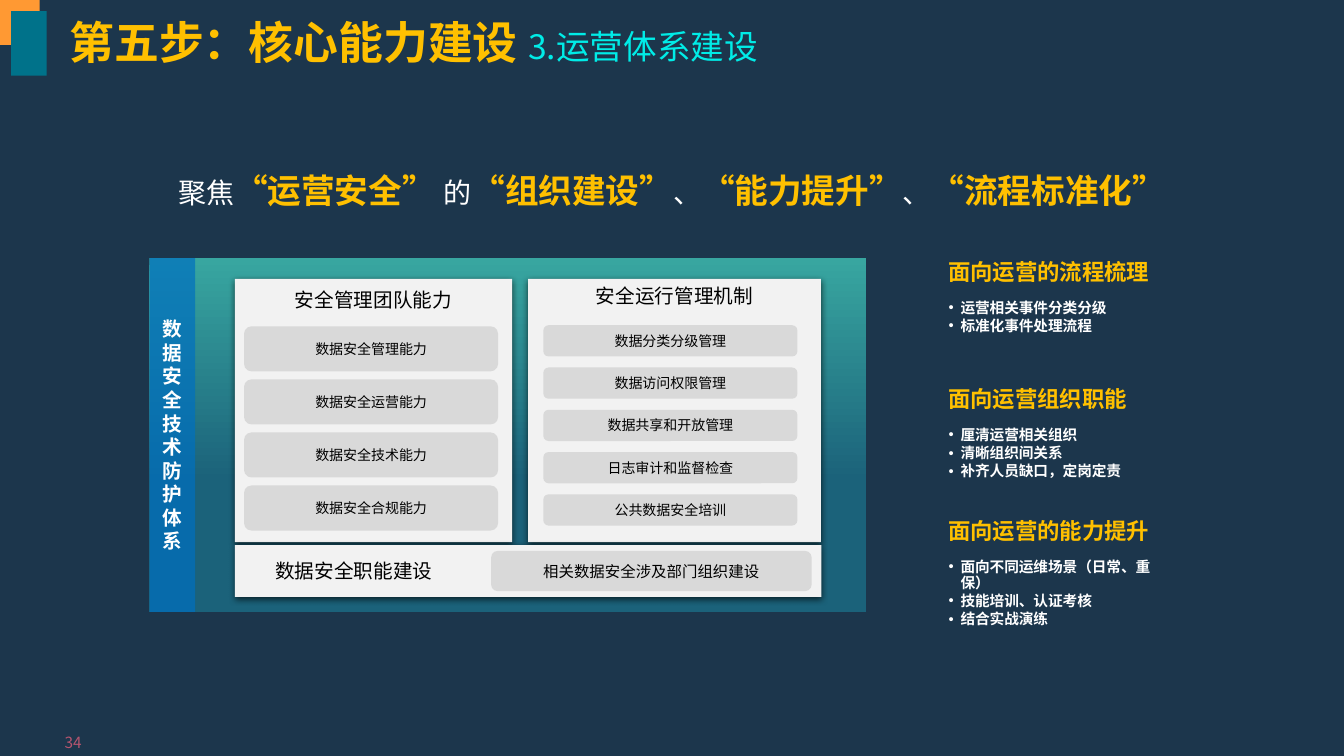
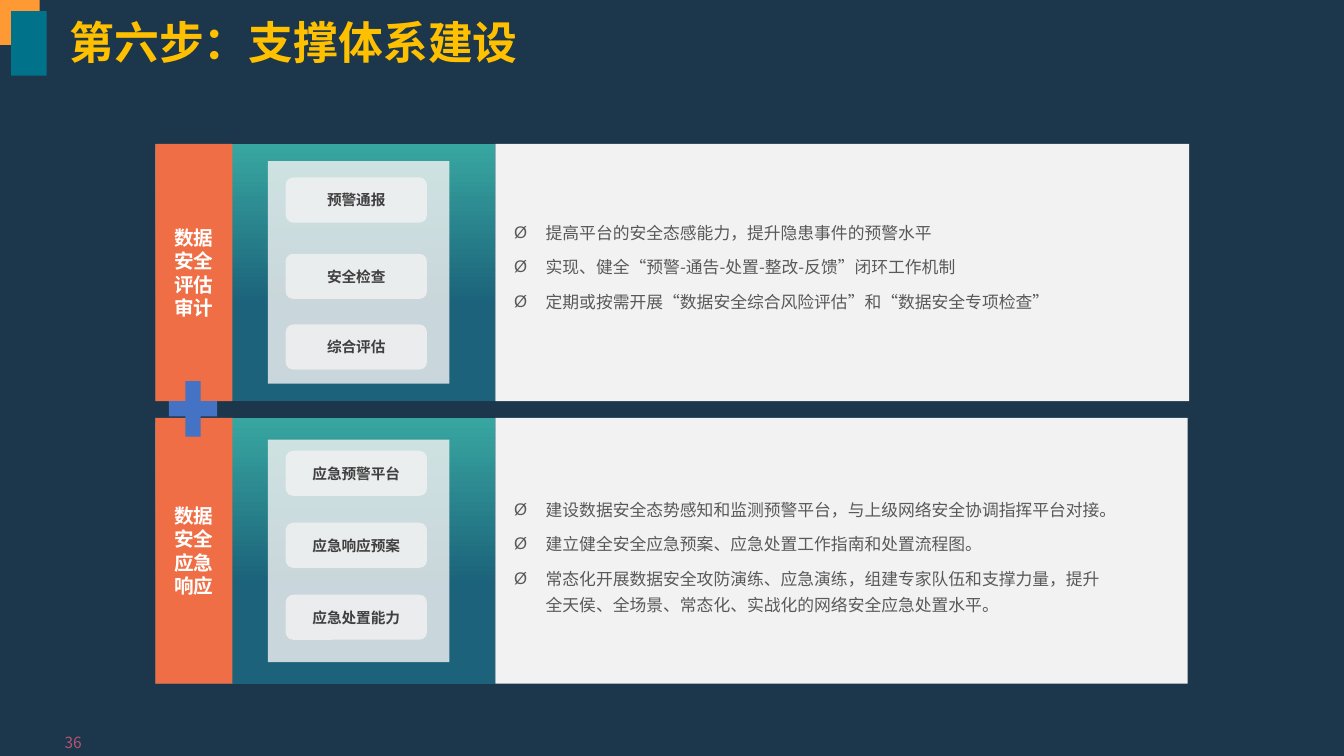
import dataclasses

import lxml.etree
import pptx
import pptx.dml.color
import pptx.enum.shapes
import pptx.enum.text
import pptx.oxml.ns
import pptx.util

Pt = pptx.util.Pt
qn = pptx.oxml.ns.qn
Kind = pptx.enum.shapes.MSO_SHAPE
Align = pptx.enum.text.PP_ALIGN
Anchor = pptx.enum.text.MSO_ANCHOR


@dataclasses.dataclass(frozen=True)
class Style:
    size: float
    color: str
    bold: bool = False
    font: str = "Noto Sans CJK SC"


class Theme:
    back = "1C364C"
    orange = "FF9933"
    teal = "00728A"
    top = "38A6A0"
    deep = "1B627A"
    blue = "0070C0"
    coral = "EF6E45"
    plus = "4472C4"
    pale = "F2F2F2"
    gray = "D9D9D9"
    title = Style(32, "FFC000", True)
    sub = Style(24, "00ECE7")
    page = Style(11, "B5556F")
    lead = Style(20, "FFFFFF")
    key = Style(24, "FFC000", True)
    side = Style(14, "FFFFFF", True, "Arial")
    card = Style(14, "000000")
    pill = Style(10, "000000")
    unit = Style(11, "000000")
    head = Style(16, "FFC000", True)
    item = Style(10.5, "FFFFFF", True)
    tag = Style(10.5, "404040", True)
    point = Style(12, "595959")


def rgb(code):
    return pptx.dml.color.RGBColor.from_string(code)


def node(root, tag, **attrs):
    return lxml.etree.SubElement(root, qn(tag), attrs)


def ink(run, style):
    font = run.font
    font.size, font.bold, font.name = Pt(style.size), style.bold, style.font
    font.color.rgb = rgb(style.color)
    node(run._r.get_or_add_rPr(), "a:ea", typeface=style.font)


def write(frame, lines, style, align=Align.CENTER, anchor=Anchor.MIDDLE, pad=(7.2, 3.6, 7.2, 3.6)):
    frame.word_wrap = True
    frame.auto_size = pptx.enum.text.MSO_AUTO_SIZE.NONE
    frame.vertical_anchor = anchor
    frame.margin_left, frame.margin_top, frame.margin_right, frame.margin_bottom = map(Pt, pad)
    frame.text = "\n".join(lines)
    for para in frame.paragraphs:
        para.alignment = align
        for run in para.runs:
            ink(run, style)


def mix(para, parts):
    for text, style in parts:
        run = para.add_run()
        run.text = text
        ink(run, style)


def place(shape, box):
    shape.left, shape.top, shape.width, shape.height = map(Pt, box)


def block(slide, box, fill, kind=Kind.RECTANGLE, alpha=None):
    shape = slide.shapes.add_shape(kind, *map(Pt, box))
    shape.shadow.inherit = False
    shape.line.fill.background()
    shape.fill.solid()
    shape.fill.fore_color.rgb = rgb(fill)
    if alpha:
        node(shape.element.spPr.find(qn("a:solidFill"))[0], "a:alpha", val=str(alpha * 1000))
    return shape


def fade(slide, box):
    fill = block(slide, box, Theme.top).fill
    fill.gradient()
    fill.gradient_angle = 270
    for stop, spot, code in zip(fill.gradient_stops, (0, 0.63), (Theme.top, Theme.deep)):
        stop.position = spot
        stop.color.rgb = rgb(code)


def raised(slide, box):
    shape = block(slide, box, Theme.pale)
    glow = node(shape.element.spPr.find(qn("a:effectLst")), "a:outerShdw",
                blurRad=str(Pt(4.5)), dist=str(Pt(1.5)), dir="5400000", algn="t", rotWithShape="0")
    node(node(glow, "a:srgbClr", val="000000"), "a:alpha", val="63000")
    return shape


def pill(slide, box, text, fill, style, alpha=None):
    shape = block(slide, box, fill, Kind.ROUNDED_RECTANGLE, alpha)
    write(shape.text_frame, [text], style, pad=(0, 0, 0, 0))


def label(slide, box, lines, style, **look):
    shape = slide.shapes.add_textbox(*map(Pt, box))
    write(shape.text_frame, lines, style, **look)
    return shape.text_frame


def bullets(body, box, lines, style, mark, indent, space, after, **look):
    place(body, box)
    write(body.text_frame, lines, style, align=Align.LEFT, **look)
    for para in body.text_frame.paragraphs:
        props = para._p.get_or_add_pPr()
        props.set("marL", str(Pt(indent)))
        props.set("indent", str(-Pt(indent)))
        node(props, "a:buFont", typeface="Arial")
        node(props, "a:buChar", char=mark)
        para.line_spacing, para.space_before, para.space_after = space, Pt(0), Pt(after)


def start(deck, layout, page, title):
    slide = deck.slides.add_slide(deck.slide_layouts.get_by_name(layout))
    block(slide, (0, 0, 28.4, 32), Theme.orange)
    block(slide, (8, 8, 25.4, 46), Theme.teal)
    label(slide, (21, 520, 62.6, 20), [page], Theme.page, anchor=Anchor.TOP)
    head = slide.shapes.title
    place(head, (42.5, 13, 772.6, 38))
    write(head.text_frame, [], Theme.title, Align.LEFT)
    para = head.text_frame.paragraphs[0]
    para.line_spacing = 0.9
    mix(para, title)
    holds = [hold for hold in slide.placeholders if hold.placeholder_format.idx]
    return slide, holds


def card(slide, box, head, drop, names, inset, first, tall, pitch):
    left, top, wide, high = box
    shape = raised(slide, box)
    write(shape.text_frame, [head], Theme.card, anchor=Anchor.TOP, pad=(0, drop, 0, 0))
    for row, name in enumerate(names):
        spot = (left + inset, top + first + row * pitch, 181.5, tall)
        pill(slide, spot, name, Theme.gray, Theme.pill)


def system(slide, box):
    left, top, wide, high = box
    fade(slide, box)
    side = block(slide, (left, top, 32.5, high), Theme.blue, alpha=71)
    write(side.text_frame, ["数据", "安全", "技术", "防护", "体系"], Theme.side)
    card(slide, (left + 270.5, top + 15, 209, 188), "安全运行管理机制", 3.6,
         ["数据分类分级管理", "数据访问权限管理", "数据共享和开放管理", "日志审计和监督检查", "公共数据安全培训"],
         10.8, 33, 22.3, 30.2)
    card(slide, (left + 61, top + 15, 198, 188), "安全管理团队能力", 6.5,
         ["数据安全管理能力", "数据安全运营能力", "数据安全技术能力", "数据安全合规能力"],
         6.5, 33.8, 32.2, 37.9)
    bar = raised(slide, (left + 61, top + 205, 419, 37))
    write(bar.text_frame, ["数据安全职能建设"], Theme.card, Align.LEFT, pad=(28.8, 3.6, 7.2, 3.6))
    pill(slide, (left + 244, top + 209.2, 229, 28.8), "相关数据安全涉及部门组织建设", Theme.gray, Theme.unit)


def topic(slide, body, box, head, lines):
    left, top, wide, high = box
    label(slide, (left, top, wide, 27), [head], Theme.head, align=Align.LEFT, anchor=Anchor.TOP)
    bullets(body, (left, top + 30.5, wide, high - 30.5), lines, Theme.item, "•", 8.6, 0.9, 1.6,
            anchor=Anchor.TOP)


def operate(deck):
    slide, holds = start(deck, "Comparison", "34",
                         [("第五步：核心能力建设 ", Theme.title), ("3.运营体系建设", Theme.sub)])
    lead = label(slide, (0, 118, 960, 36), [], Theme.lead, anchor=Anchor.TOP)
    mix(lead.paragraphs[0], [
        ("聚焦", Theme.lead), ("“运营安全” ", Theme.key), ("的", Theme.lead), ("“组织建设”", Theme.key),
        ("、", Theme.lead), ("“能力提升”", Theme.key), ("、", Theme.lead), ("“流程标准化”", Theme.key)])
    system(slide, (106.8, 184.3, 511.7, 252.7))
    topics = [
        (180.5, "面向运营的流程梳理", ["运营相关事件分类分级", "标准化事件处理流程"]),
        (271.5, "面向运营组织职能", ["厘清运营相关组织", "清晰组织间关系", "补齐人员缺口，定岗定责"]),
        (365.8, "面向运营的能力提升",
         ["面向不同运维场景（日常、重保）", "技能培训、认证考核", "结合实战演练"])]
    for body, (top, head, lines) in zip(holds, topics):
        topic(slide, body, (670.3, top, 176, 88), head, lines)
    for spare in holds[len(topics):]:
        spare.element.getparent().remove(spare.element)


def band(slide, body, box, side, inset, tags, steps, lines, sink):
    left, top, wide, high = box
    fade(slide, (left, top, 242.8, high))
    flag = block(slide, (left, top, 55, high), Theme.coral)
    write(flag.text_frame, side, Theme.side)
    block(slide, (left + 80.4, top + inset, 129.6, 159), Theme.pale, alpha=81)
    for tag, step in zip(tags, steps):
        pill(slide, (left + 93, top + step, 101, 32.2), tag, Theme.pale, Theme.tag, 81)
    body.fill.solid()
    body.fill.fore_color.rgb = rgb(Theme.pale)
    bullets(body, (left + 242.8, top, wide - 242.8, high), lines, Theme.point, "Ø", 22.5, 1.3, 6,
            pad=(13.5, 12 + sink, 54.7, 12 - sink))


def support(deck):
    slide, holds = start(deck, "Two Content", "36", [("第六步：支撑体系建设", Theme.title)])
    band(slide, holds[0], (111, 102.8, 738.4, 183.8), ["数据", "安全", "评估审计"], 12.2,
         ["预警通报", "安全检查", "综合评估"], (24, 78.5, 129),
         ["提高平台的安全态感能力，提升隐患事件的预警水平",
          "实现、健全“预警-通告-处置-整改-反馈”闭环工作机制",
          "定期或按需开展“数据安全综合风险评估”和“数据安全专项检查”"], -6)
    band(slide, holds[1], (111, 298.4, 737.4, 190), ["数据", "安全", "应急", "响应"], 15.6,
         ["应急预警平台", "应急响应预案", "应急处置能力"], (23.6, 75, 126.4),
         ["建设数据安全态势感知和监测预警平台，与上级网络安全协调指挥平台对接。",
          "建立健全安全应急预案、应急处置工作指南和处置流程图。",
          "常态化开展数据安全攻防演练、应急演练，组建专家队伍和支撑力量，提升全天侯、全场景、常态化、实战化的网络安全应急处置水平。"],
         2.5)
    block(slide, (114.5, 265, 46.8, 54), Theme.plus, Kind.MATH_PLUS)


def main():
    deck = pptx.Presentation()
    deck.slide_width, deck.slide_height = Pt(960), Pt(540)
    fill = deck.slide_master.background.fill
    fill.solid()
    fill.fore_color.rgb = rgb(Theme.back)
    operate(deck)
    support(deck)
    deck.save("out.pptx")


if __name__ == "__main__":
    main()
